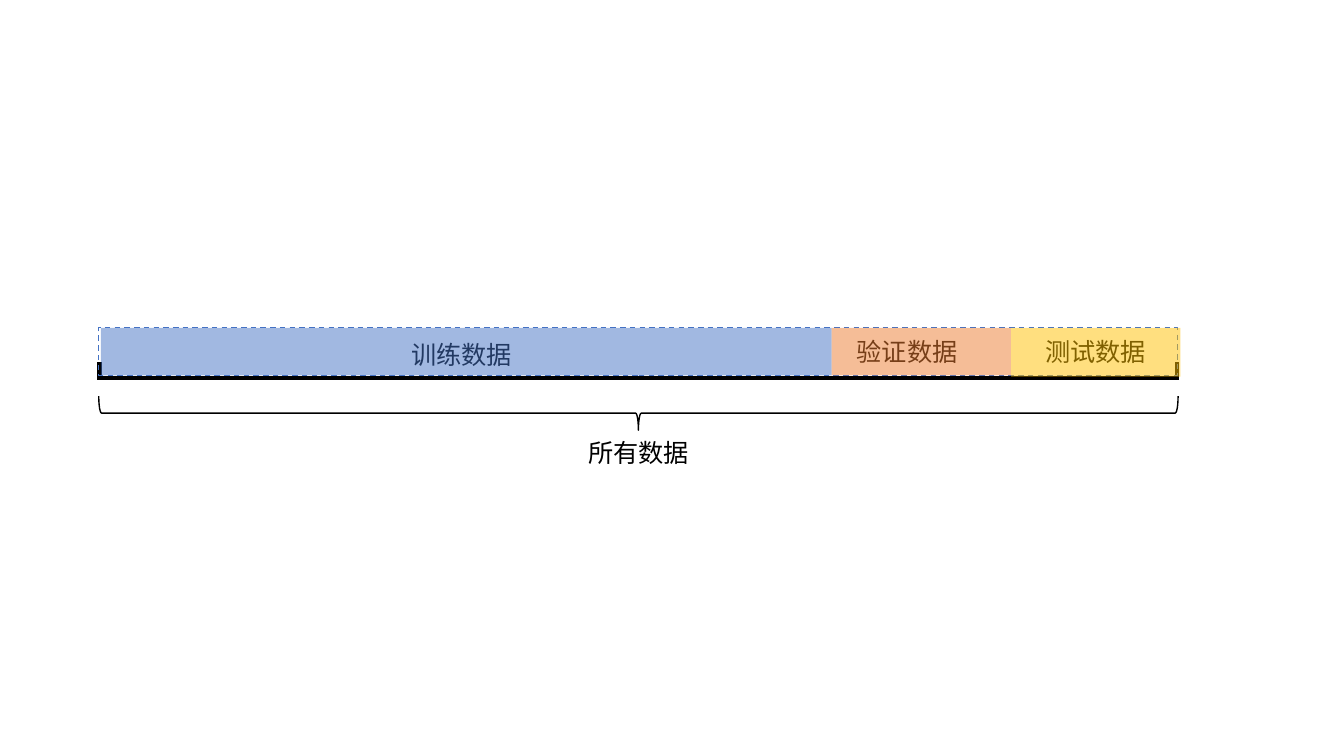
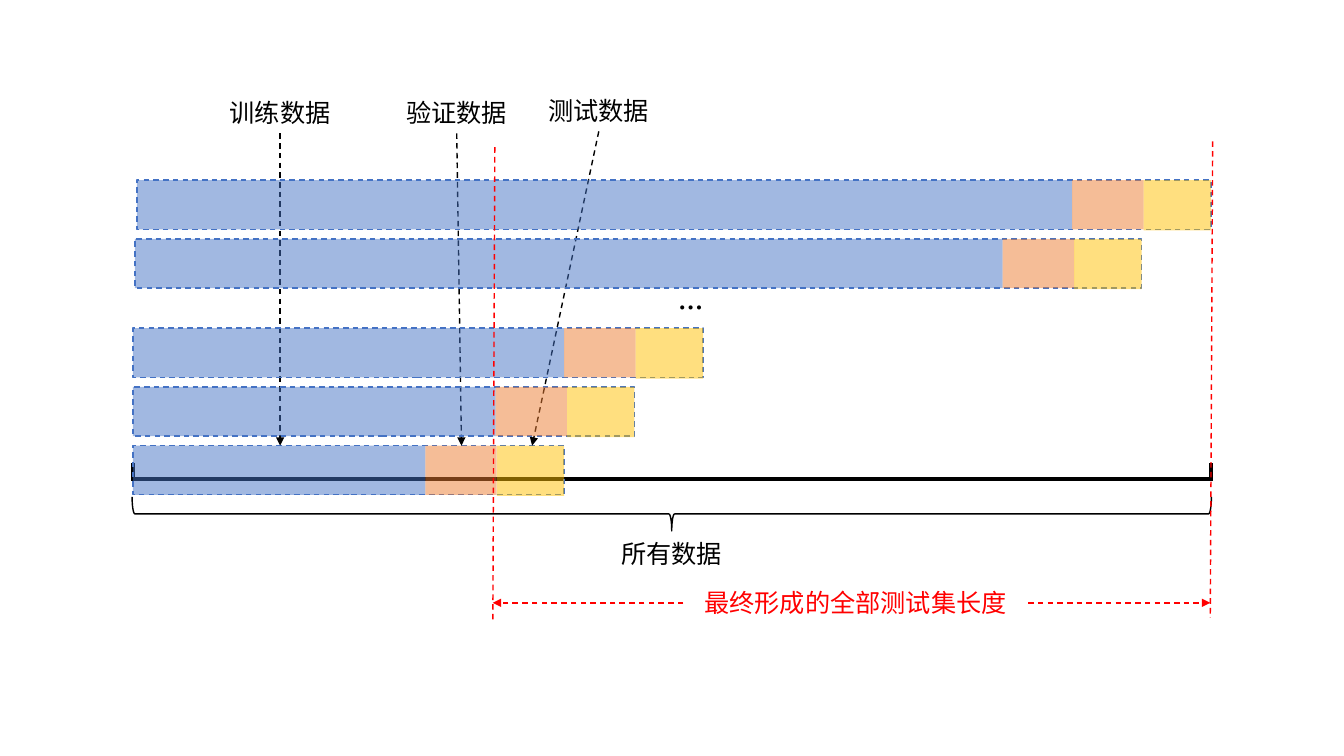
from dataclasses import dataclass

from lxml import etree
from pptx import Presentation
from pptx import util as u
from pptx.dml.color import RGBColor
from pptx.enum import dml, shapes, text
from pptx.oxml.ns import qn


@dataclass(frozen=True)
class Theme:
    font: str = "Noto Sans CJK SC"
    size: int = 18
    thin: int = 1
    thick: int = 3
    ink: str = "000000"
    mark: str = "FF0000"
    outline: str = "4472C4"
    fills: tuple = ("4472C4", "ED7D31", "FFC000")
    alpha: int = 50000


T = Theme()

ALL = "所有数据"
TRAIN, VALID, TEST = "训练数据", "验证数据", "测试数据"
TEST_SPAN = "最终形成的全部测试集长度"

SPLIT_LABELS = [(TRAIN, 11.63, 8.43), (VALID, 22.86, 8.36), (TEST, 27.61, 8.36)]
SPLIT_WIDTHS = (18.42, 4.52, 4.27)

POINTERS = [
    (TRAIN, 7.06, 2.34, 7.06),
    (VALID, 11.51, 2.34, 11.63),
    (TEST, 15.09, 2.29, 13.41),
]
VALID_W, TEST_W = 1.8, 1.7
FIRST_TOP, PITCH, ROW_H = 11.23, 1.48, 1.24
FIRST_ROW = (0, 3.35, 7.37)
LATER_ROWS = [(1, 3.35, 9.14), (2, 3.35, 10.87)]
LAST_ROWS = [(4.52, 3.45, 23.57), (3.52, 3.4, 21.87)]
LIMITS = [(12.47, 3.71, 12.42, 15.7), (30.56, 3.56, 30.5, 15.57)]
SPAN_Y = 15.19
SPAN_ARROWS = [(25.91, 30.5), (17.22, 12.42)]


def rgb(color):
    return RGBColor.from_string(color)


def style_line(ln, color, width, dashed=False):
    ln.color.rgb = rgb(color)
    ln.width = u.Pt(width)
    if dashed:
        ln.dash_style = dml.MSO_LINE.DASH


def line(s, x1, y1, x2, y2, color=T.ink, width=T.thin, dashed=False, arrow=False):
    c = s.shapes.add_connector(
        shapes.MSO_CONNECTOR.STRAIGHT, u.Cm(x1), u.Cm(y1), u.Cm(x2), u.Cm(y2)
    )
    style_line(c.line, color, width, dashed)
    props = c._element.spPr
    if arrow:
        etree.SubElement(props.find(qn("a:ln")), qn("a:tailEnd"), type="triangle")
    etree.SubElement(props, qn("a:effectLst"))


def shape(s, kind, x, y, w, h):
    sp = s.shapes.add_shape(kind, u.Cm(x), u.Cm(y), u.Cm(w), u.Cm(h))
    sp.shadow.inherit = False
    sp.fill.background()
    return sp


def label(s, words, center, top, color=T.ink, bold=False, width=6.55):
    tb = s.shapes.add_textbox(
        u.Cm(center - width / 2), u.Cm(top), u.Cm(width), u.Cm(1.02)
    )
    tf = tb.text_frame
    tf.word_wrap = True
    tf.auto_size = text.MSO_AUTO_SIZE.SHAPE_TO_FIT_TEXT
    p = tf.paragraphs[0]
    p.text = words
    p.alignment = text.PP_ALIGN.CENTER
    r = p.runs[0]
    r.font.name = T.font
    r.font.size = u.Pt(T.size)
    r.font.bold = bold
    r.font.color.rgb = rgb(color)
    etree.SubElement(r._r.get_or_add_rPr(), qn("a:ea"), typeface=T.font)


def bar(s, x, y, widths, height, frame=None):
    left, w = frame or (x, sum(widths))
    sp = shape(s, shapes.MSO_SHAPE.RECTANGLE, left, y, w, height)
    style_line(sp.line, T.outline, T.thin, dashed=True)
    for i, (part, color) in enumerate(zip(widths, T.fills)):
        extra = 0.03 if i == 2 else 0
        sp = shape(s, shapes.MSO_SHAPE.RECTANGLE, x, y, part, height + extra)
        sp.line.fill.background()
        sp.fill.solid()
        sp.fill.fore_color.rgb = rgb(color)
        clr = sp._element.spPr.find(qn("a:solidFill"))[0]
        etree.SubElement(clr, qn("a:alpha"), val=str(T.alpha))
        x += part


def timeline(s, x, y):
    length, depth = 27.2, 0.86
    line(s, x, y, x + length + 0.03, y, width=T.thick)
    for end in (x + 0.02, x + length - 0.02):
        line(s, end, y - 0.4, end, y + 0.04, width=T.thick)
    mid = x + length / 2
    sp = shape(
        s,
        shapes.MSO_SHAPE.LEFT_BRACE,
        mid - depth / 2,
        y + 0.88 - length / 2,
        depth,
        length,
    )
    sp.rotation = 270
    style_line(sp.line, T.ink, T.thin)
    label(s, ALL, mid, y + 1.37)


def window(s, row):
    step, x, train = row
    bar(s, x, FIRST_TOP - step * PITCH, (train, VALID_W, TEST_W), ROW_H)


def split_slide(s):
    timeline(s, 2.49, 9.53)
    for words, center, top in SPLIT_LABELS:
        label(s, words, center, top)
    bar(s, 2.54, 8.26, SPLIT_WIDTHS, 1.2, frame=(2.49, 27.18))


def rolling_slide(s):
    timeline(s, 3.33, 12.07)
    window(s, FIRST_ROW)
    for words, center, top, target in POINTERS:
        line(s, center, top + 1.02, target, FIRST_TOP, dashed=True, arrow=True)
        label(s, words, center, top)
    for row in LATER_ROWS:
        window(s, row)
    label(s, "…", 17.42, 7.24, bold=True)
    for row in LAST_ROWS:
        window(s, row)
    for x1, y1, x2, y2 in LIMITS:
        line(s, x1, y1, x2, y2, T.mark, dashed=True)
    for start, end in SPAN_ARROWS:
        line(s, start, SPAN_Y, end, SPAN_Y, T.mark, dashed=True, arrow=True)
    label(s, TEST_SPAN, 21.56, SPAN_Y - 0.51, T.mark, width=8.69)


prs = Presentation()
prs.slide_width, prs.slide_height = u.Cm(33.87), u.Cm(19.05)
for build in (split_slide, rolling_slide):
    build(prs.slides.add_slide(prs.slide_layouts[6]))
prs.save("out.pptx")
